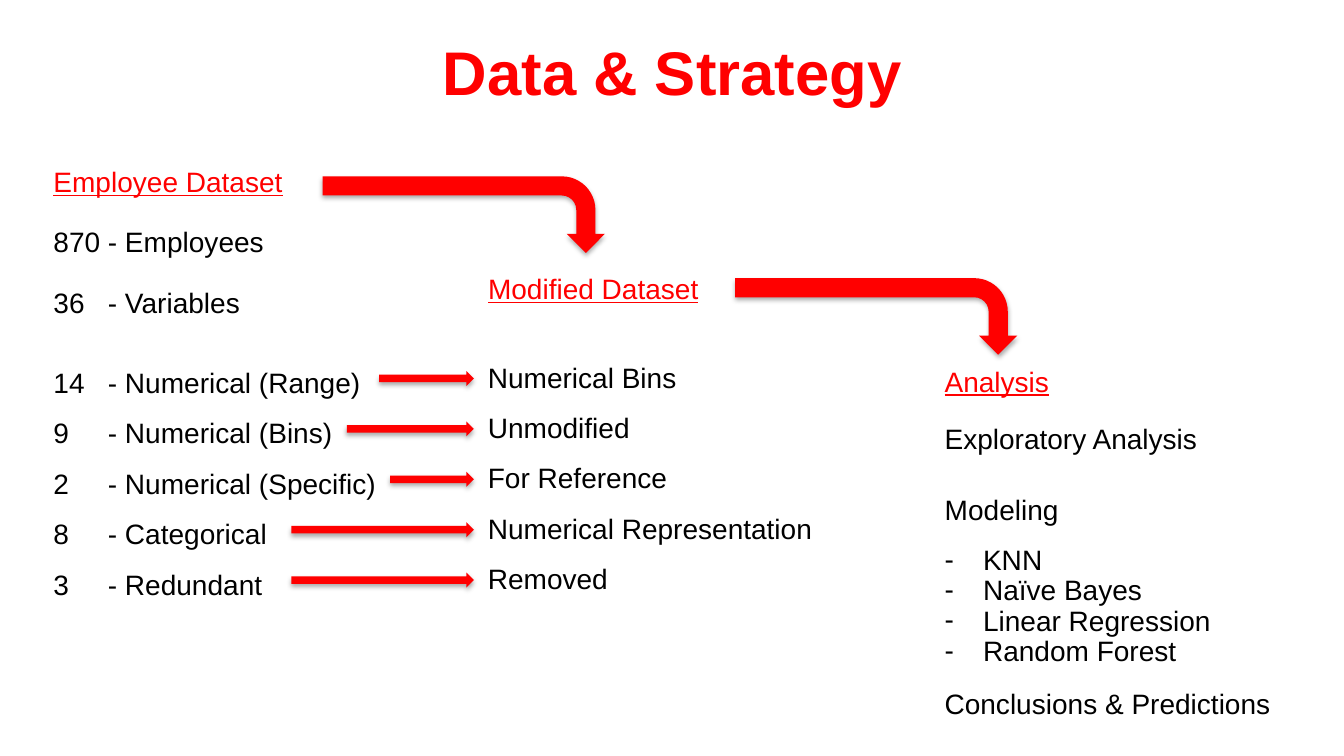
from lxml.etree import SubElement
from pptx import Presentation
from pptx.dml.color import RGBColor
from pptx.enum.shapes import MSO_SHAPE
from pptx.enum.text import MSO_ANCHOR, MSO_AUTO_SIZE, PP_ALIGN
from pptx.oxml.ns import qn
from pptx.util import Inches, Pt

RED = RGBColor(0xFF, 0x00, 0x00)
BLACK = RGBColor(0x00, 0x00, 0x00)
BODY = {"name": "Arial", "size": Pt(20), "bold": False, "underline": False}
HEADING = {**BODY, "underline": True}
TITLE = {**BODY, "size": Pt(44), "bold": True}
ROW_STEP = 0.5
NUMBER_INDENT = 0.54
BULLET_INDENT = 0.38
GROUPS = [
    ("14", "Numerical (Range)", "Numerical Bins", 3.76),
    ("9", "Numerical (Bins)", "Unmodified", 3.44),
    ("2", "Numerical (Specific)", "For Reference", 3.87),
    ("8", "Categorical", "Numerical Representation", 2.89),
    ("3", "Redundant", "Removed", 2.89),
]
MODELS = ["KNN", "Naïve Bayes", "Linear Regression", "Random Forest"]


def set_values(target, values):
    """Set each named attribute of the target."""
    for name, value in values.items():
        setattr(target, name, value)


def place(shape, left, top, width, height):
    """Move a shape to a box given in inches."""
    set_values(shape, {"left": Inches(left), "top": Inches(top),
                       "width": Inches(width), "height": Inches(height)})


def prepare(shape, anchor=MSO_ANCHOR.TOP):
    """Make a text frame wrap at a fixed size."""
    set_values(shape.text_frame, {"word_wrap": True, "auto_size": MSO_AUTO_SIZE.NONE,
                                  "vertical_anchor": anchor})


def write_line(box, text, font=BODY, color=BLACK, spacing=0.9, before=0,
               indent=0, bullet=None, align=PP_ALIGN.LEFT):
    """Write one paragraph, using the first one while it is empty."""
    frame = box.text_frame
    para = frame.paragraphs[0] if not frame.text else frame.add_paragraph()
    set_values(para, {"alignment": align, "line_spacing": spacing,
                      "space_before": Pt(before), "space_after": Pt(0)})
    properties = para._p.get_or_add_pPr()
    properties.set("marL", str(Inches(indent)))
    properties.set("indent", str(-Inches(indent)))
    if bullet:
        SubElement(properties, qn("a:buFont"), typeface="Arial")
        SubElement(properties, qn("a:buChar"), char=bullet)
    else:
        SubElement(properties, qn("a:buNone"))
    span = para.add_run()
    span.text = text
    set_values(span.font, font)
    span.font.color.rgb = color


def add_label(page, text, left, top, width, height, font=BODY, color=BLACK):
    """Add a text box holding one line."""
    box = page.shapes.add_textbox(Inches(left), Inches(top), Inches(width), Inches(height))
    prepare(box)
    write_line(box, text, font, color)


def add_arrow(page, kind, left, top, width, height, rotation=0):
    """Add a red block arrow with a soft shadow below it."""
    arrow = page.shapes.add_shape(kind, Inches(left), Inches(top), Inches(width), Inches(height))
    arrow.rotation = rotation
    arrow.fill.solid()
    arrow.fill.fore_color.rgb = RED
    arrow.line.fill.background()
    arrow.shadow.inherit = False
    effects = arrow._element.spPr.find(qn("a:effectLst"))
    shadow = SubElement(effects, qn("a:outerShdw"), blurRad=str(Pt(3.5)), dist=str(Pt(2.2)),
                        dir="5400000", rotWithShape="0")
    shade = SubElement(shadow, qn("a:srgbClr"), val="000000")
    SubElement(shade, qn("a:alpha"), val="32000")


def build_title(title, left, top, width, height):
    """Fill the slide title."""
    place(title, left, top, width, height)
    prepare(title, MSO_ANCHOR.BOTTOM)
    write_line(title, "Data & Strategy", TITLE, RED, align=PP_ALIGN.CENTER)


def build_employee_dataset(facts, groups, left, top):
    """Fill the two lists that describe the employee dataset."""
    place(facts, left, top, 4.08, 1.79)
    prepare(facts)
    write_line(facts, "Employee Dataset", HEADING, RED)
    for count, name in [("870", "Employees"), ("36", "Variables")]:
        write_line(facts, f"{count}\t- {name}", before=21.5, indent=NUMBER_INDENT)
    place(groups, left, top + 1.79, 3.6, 2.69)
    prepare(groups)
    for count, name, _, _ in GROUPS:
        write_line(groups, f"{count}\t- {name}", spacing=1.5, indent=NUMBER_INDENT)


def build_modified_dataset(page, heading, left, top):
    """Place the treatment of each variable group and the arrow leading to it."""
    place(heading, left, top, 4.08, 0.48)
    prepare(heading)
    write_line(heading, "Modified Dataset", HEADING, RED)
    for row, (_, _, treatment, start) in enumerate(GROUPS):
        row_top = top + 0.88 + row * ROW_STEP
        add_label(page, treatment, left, row_top, 4.08, 0.48)
        add_arrow(page, MSO_SHAPE.RIGHT_ARROW, start, row_top + 0.12, left - 0.04 - start, 0.15)


def build_analysis(page, modeling, left, top):
    """Place the analysis steps and the list of models."""
    add_label(page, "Analysis", left, top, 3.48, 0.54, HEADING, RED)
    add_label(page, "Exploratory Analysis", left, top + 0.57, 3.48, 0.46)
    place(modeling, left, top + 1.07, 3.4, 2.14)
    prepare(modeling)
    write_line(modeling, "Modeling", spacing=1.5)
    for model in MODELS:
        spacing = 1.5 if model == MODELS[0] else 0.9
        write_line(modeling, model, spacing=spacing, indent=BULLET_INDENT, bullet="-")
    add_label(page, "Conclusions & Predictions", left, top + 3.2, 3.48, 0.54)


def main():
    """Build the slide and save it."""
    deck = Presentation()
    set_values(deck, {"slide_width": Inches(13.33), "slide_height": Inches(7.5)})
    page = deck.slides.add_slide(deck.slide_layouts[4])
    title, facts, groups, heading, modeling = page.placeholders
    build_title(title, 1.67, 0.16, 10, 0.97)
    build_employee_dataset(facts, groups, 0.43, 1.62)
    build_modified_dataset(page, heading, 4.74, 2.68)
    build_analysis(page, modeling, 9.27, 3.6)
    for left, top in [(4.22, 0.73), (8.31, 1.74)]:
        add_arrow(page, MSO_SHAPE.BENT_ARROW, left, top, 0.76, 2.8, 90)
    deck.save("out.pptx")


if __name__ == "__main__":
    main()
